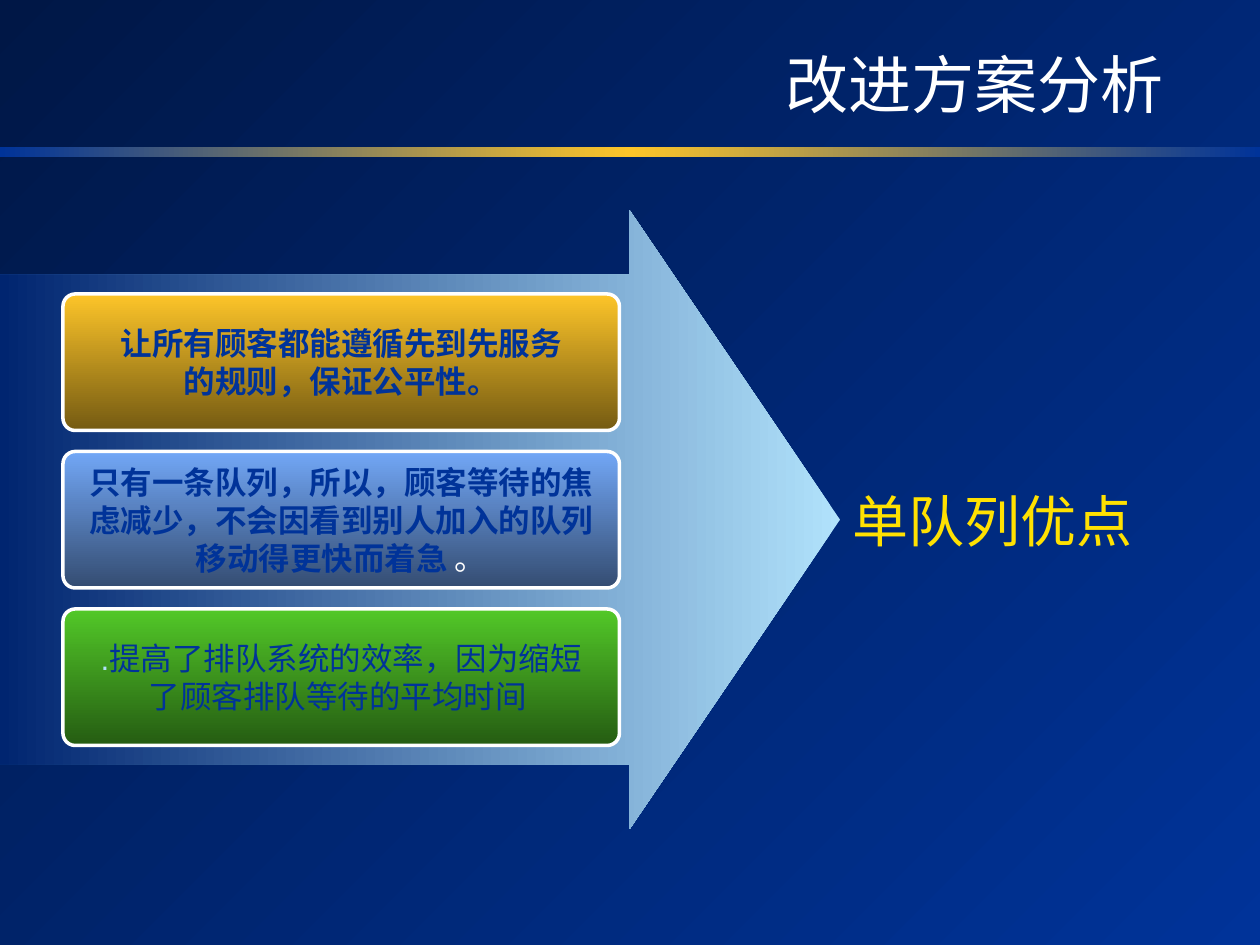
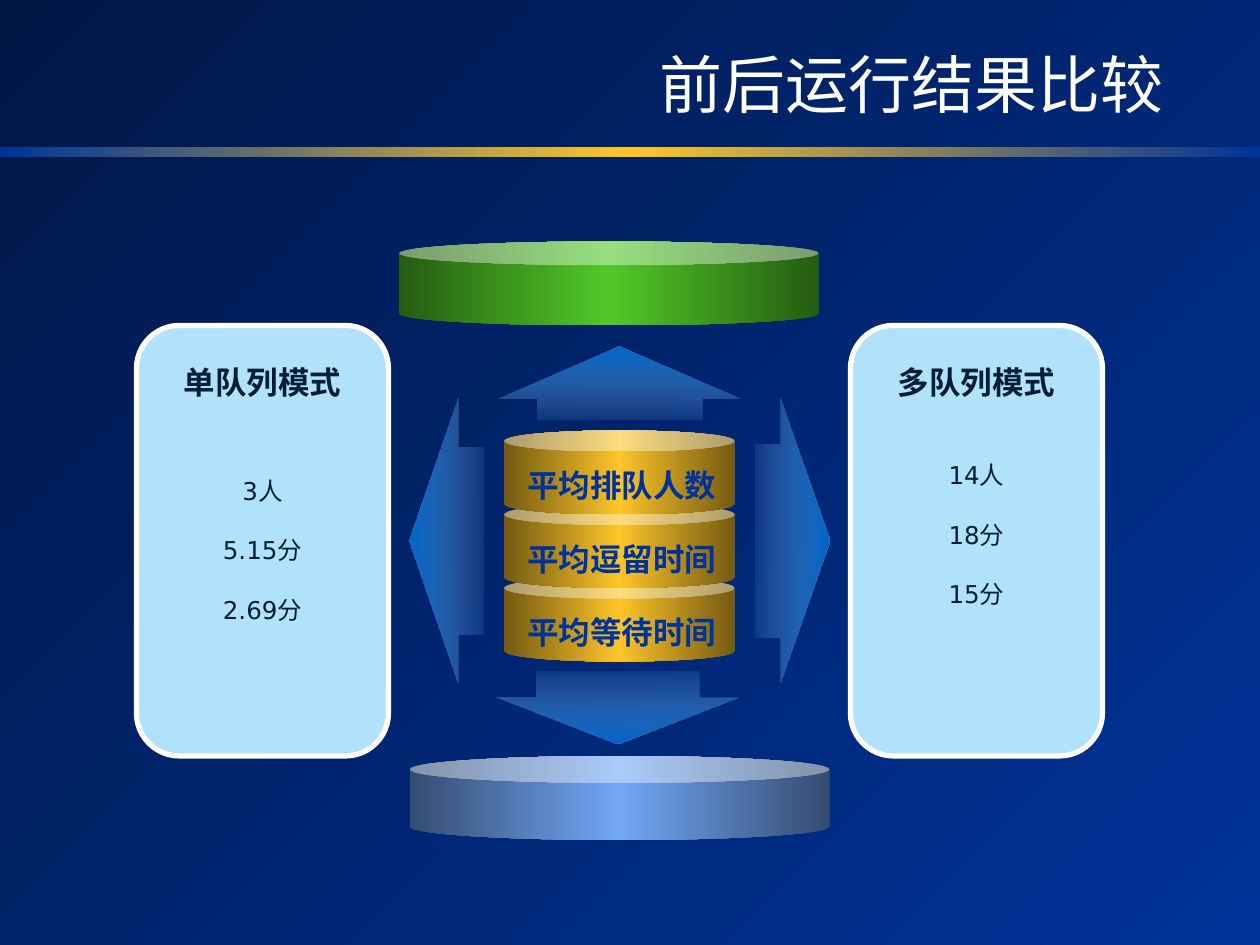
from dataclasses import dataclass
from typing import NamedTuple

from lxml.etree import SubElement
from pptx import Presentation
from pptx.dml.color import RGBColor
from pptx.enum.shapes import MSO_SHAPE as Kind
from pptx.enum.text import MSO_ANCHOR as Anchor, PP_ALIGN as Align
from pptx.oxml.ns import qn
from pptx.util import Emu, Pt

SCALE = 7620  # EMU in one px, 120 px to the inch
HUES = {
    "white": "FFFFFF", "blue": "003399", "night": "001746", "navy": "002570",
    "ice": "B1E2FB", "gold": "FDC529", "bronze": "745A12", "sky": "72A7F6",
    "slate": "344C71", "green": "52C828", "moss": "255C12", "yellow": "FFE101",
    "ink": "001D3A", "mist": "73AAE2", "azure": "0066CC",
}


class Box(NamedTuple):
    x: int
    y: int
    w: int
    h: int


class Stop(NamedTuple):
    at: int
    hue: str
    alpha: int = 100


class Bit(NamedTuple):
    text: str
    hue: str = "blue"
    bold: bool = True
    join: bool = False


@dataclass
class Card:
    top: str
    base: str
    bits: list[Bit]


@dataclass
class Arrow:
    kind: Kind
    box: Box
    adj: tuple[float, float]
    turn: int
    tip_first: bool


@dataclass
class Drum:
    box: Box
    adj: float
    mid: str
    edge: str


@dataclass
class Panel:
    x: int
    head: str
    gap: int
    rows: list[str]


# Helpers
def px(n: int) -> Emu:
    return Emu(n * SCALE)


def color(hue: str) -> RGBColor:
    return RGBColor.from_string(HUES[hue])


def blend(fill, root, stops: list[Stop], turn: int) -> None:
    """Fill with a linear gradient, turned clockwise in degrees."""
    fill.gradient()
    fill.gradient_angle = (360 - turn) % 360
    bank = root.find(".//" + qn("a:gsLst"))
    for old in list(bank):
        bank.remove(old)
    for stop in stops:
        node = SubElement(bank, qn("a:gs"), pos=str(stop.at * 1000))
        tint = SubElement(node, qn("a:srgbClr"), val=HUES[stop.hue])
        if stop.alpha < 100:
            SubElement(tint, qn("a:alpha"), val=str(stop.alpha * 1000))


def draw(slide, kind: Kind, box: Box, adj: tuple = (), stops: list[Stop] | None = None,
         turn: int = 180, fill: str = "", line: str = "", width: int = 2):
    shape = slide.shapes.add_shape(kind, *map(px, box))
    shape.shadow.inherit = False
    for i, val in enumerate(adj):
        shape.adjustments[i] = val
    if stops:
        blend(shape.fill, shape.element, stops, turn)
    elif fill:
        shape.fill.solid()
        shape.fill.fore_color.rgb = color(fill)
    else:
        shape.fill.background()
    if line:
        shape.line.color.rgb = color(line)
        shape.line.width = Pt(width)
    else:
        shape.line.fill.background()
    return shape


def write(frame, text: str, *, size: int = 18, hue: str = "blue", bold: bool = False,
          font: str = "Arial", align: Align = Align.CENTER, gap: int = 0,
          join: bool = False) -> None:
    """Add text as a new paragraph, or join it to the last one."""
    par = frame.paragraphs[-1]
    if par.runs and not join:
        par = frame.add_paragraph()
    par.alignment = align
    if gap:
        par.space_before = Pt(gap)
    run = par.add_run()
    run.text = text
    run.font.name, run.font.size, run.font.bold = font, Pt(size), bold
    run.font.color.rgb = color(hue)


def frame_of(shape, anchor: Anchor = Anchor.MIDDLE, wrap: bool = True):
    frame = shape.text_frame
    frame.vertical_anchor = anchor
    frame.word_wrap = wrap
    return frame


def text_box(slide, box: Box, wrap: bool = True):
    return frame_of(slide.shapes.add_textbox(*map(px, box)), Anchor.TOP, wrap)


def mirror(edge: str, mid: str) -> list[Stop]:
    return [Stop(0, edge), Stop(50, mid), Stop(100, edge)]


def draw_drum(slide, drum: Drum) -> None:
    draw(slide, Kind.CAN, drum.box, (drum.adj,), mirror(drum.edge, drum.mid))


def draw_arrow(slide, arrow: Arrow) -> None:
    if arrow.tip_first:
        stops = [Stop(0, "azure"), Stop(100, "mist", 12)]
    else:
        stops = [Stop(0, "mist", 12), Stop(100, "azure")]
    draw(slide, arrow.kind, arrow.box, arrow.adj, stops, arrow.turn)


def draw_panel(slide, panel: Panel) -> None:
    draw(slide, Kind.ROUNDED_RECTANGLE, Box(panel.x, 310, 240, 410), (0.17,),
         fill="ice", line="white", width=3)
    frame = text_box(slide, Box(panel.x + 10, 340, 220, 317))
    look = {"hue": "ink", "font": "DejaVu Sans"}
    write(frame, panel.head, bold=True, **look)
    for i, row in enumerate(panel.rows):
        write(frame, row, size=14, gap=17 if i else panel.gap, **look)


def new_slide(deck, title: str):
    slide = deck.slides.add_slide(deck.slide_layouts[5])
    draw(slide, Kind.RECTANGLE, Box(0, 140, 1200, 10), stops=mirror("blue", "gold"))
    head = slide.shapes.title
    head.left, head.top, head.width, head.height = map(px, Box(130, 42, 990, 74))
    write(frame_of(head), title, size=36, hue="white", align=Align.RIGHT)
    return slide


# Content
CARDS = [
    Card("gold", "bronze", [Bit("让所有顾客都能遵循先到先服务"), Bit("的规则，保证公平性。")]),
    Card("sky", "slate", [
        Bit("只有一条队列，所以，顾客等待的焦"),
        Bit("虑减少，不会因看到别人加入的队列"),
        Bit("移动得更快而着急 "),
        Bit("。", "white", False, True),
    ]),
    Card("green", "moss", [
        Bit(".", "ice", False),
        Bit("提高了排队系统的效率，因为缩短", bold=False, join=True),
        Bit("了顾客排队等待的平均时间 ", bold=False),
    ]),
]
NAMES = ["平均排队人数", "平均逗留时间", "平均等待时间"]
PANELS = [
    Panel(130, "单队列模式", 43, ["3人", "5.15分", "2.69分"]),
    Panel(810, "多队列模式", 34, ["14人", "18分", "15分"]),
]
ARROWS = [
    Arrow(Kind.LEFT_ARROW, Box(390, 380, 70, 270), (0.66, 0.65), 180, False),
    Arrow(Kind.RIGHT_ARROW, Box(720, 380, 70, 270), (0.68, 0.66), 180, True),
    Arrow(Kind.UP_ARROW, Box(475, 330, 230, 70), (0.68, 0.71), 90, True),
    Arrow(Kind.DOWN_ARROW, Box(473, 640, 230, 68), (0.67, 0.64), 90, False),
]
DRUMS = [
    Drum(Box(380, 230, 400, 80), 0.28, "green", "moss"),
    Drum(Box(390, 720, 400, 80), 0.32, "sky", "slate"),
]


# Slides
def plan_slide(deck) -> None:
    slide = new_slide(deck, "改进方案分析")
    draw(slide, Kind.RIGHT_ARROW, Box(0, 200, 800, 590), (0.79, 0.34),
         [Stop(0, "ice"), Stop(100, "navy")])
    for i, card in enumerate(CARDS):
        shape = draw(slide, Kind.ROUNDED_RECTANGLE, Box(60, 280 + 150 * i, 530, 130),
                     (0.09,), [Stop(0, card.top), Stop(100, card.base)], 90, line="white")
        frame = frame_of(shape, wrap=False)
        for bit in card.bits:
            write(frame, bit.text, hue=bit.hue, bold=bit.bold, join=bit.join)
    label = draw(slide, Kind.ROUNDED_RECTANGLE, Box(780, 410, 330, 170), (0.09,))
    write(frame_of(label), "单队列优点", size=32, hue="yellow")


def result_slide(deck) -> None:
    slide = new_slide(deck, "前后运行结果比较")
    # Stacked drums, lowest first, then their names
    for i in reversed(range(len(NAMES))):
        draw_drum(slide, Drum(Box(480, 410 + 70 * i, 220, 80), 0.25, "gold", "bronze"))
    for i, name in enumerate(NAMES):
        write(text_box(slide, Box(490, 438 + 70 * i, 204, 48), False), name, bold=True)
    for panel in PANELS:
        draw_panel(slide, panel)
    for arrow in ARROWS:
        draw_arrow(slide, arrow)
    for drum in DRUMS:
        draw_drum(slide, drum)


def main() -> None:
    deck = Presentation()
    deck.slide_width, deck.slide_height = px(1200), px(900)
    master = deck.slide_master
    blend(master.background.fill, master.element, [Stop(0, "blue"), Stop(100, "night")], 225)
    plan_slide(deck)
    result_slide(deck)
    deck.save("out.pptx")


if __name__ == "__main__":
    main()
